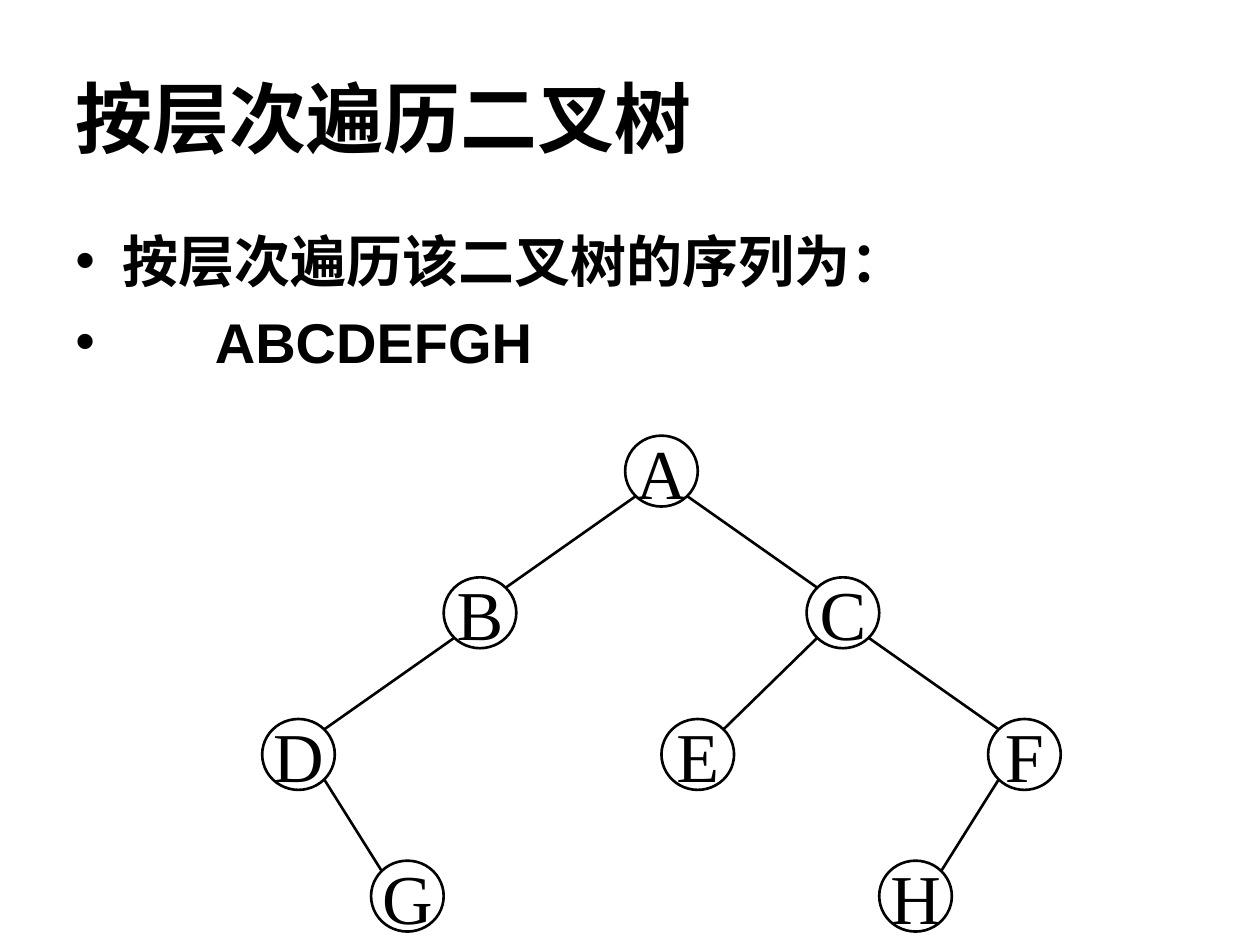
"""Build a slide on level-order traversal of a binary tree."""
from dataclasses import dataclass
from math import sqrt

from lxml.etree import SubElement
from pptx import Presentation
from pptx.dml.color import RGBColor
from pptx.enum.shapes import MSO_CONNECTOR, MSO_SHAPE
from pptx.enum.text import MSO_ANCHOR, PP_ALIGN
from pptx.oxml.ns import qn
from pptx.util import Pt


@dataclass(frozen=True)
class Theme:
    ink: RGBColor = RGBColor(0, 0, 0)
    han: str = "Noto Sans CJK SC"
    sans: str = "Arial"
    serif: str = "Times New Roman"
    title: float = 44
    body: float = 32
    label: float = 40
    line: float = 1.5


@dataclass(frozen=True)
class Node:
    name: str
    step: int
    level: int
    parent: str = ""

    @property
    def x(self) -> float:
        return MID + self.step * STEP

    @property
    def y(self) -> float:
        return TOP + self.level * DROP


@dataclass(frozen=True)
class Item:
    text: str
    indent: float


THEME = Theme()
MID, TOP, STEP, DROP = 378, 269.2, 20.74, 80.95
WIDE, HIGH = 41.5, 40.5
ITEMS = [Item("按层次遍历该二叉树的序列为：", 27), Item("ABCDEFGH", 79.7)]
NODES = [
    Node("A", 0, 0),
    Node("B", -5, 1, "A"),
    Node("C", 5, 1, "A"),
    Node("D", -10, 2, "B"),
    Node("E", 1, 2, "C"),
    Node("F", 10, 2, "C"),
    Node("G", -7, 3, "D"),
    Node("H", 7, 3, "F"),
]


def style(para, size: float, face: str, bold: bool = False) -> None:
    for run in para.runs:
        font = run.font
        font.size, font.name, font.bold = Pt(size), face, bold
        font.color.rgb = THEME.ink
        east = THEME.han if bold else face
        SubElement(font._element, qn("a:ea"), typeface=east)


def add_text(slide, left: float, top: float, wide: float, high: float):
    box = slide.shapes.add_textbox(Pt(left), Pt(top), Pt(wide), Pt(high))
    box.text_frame.word_wrap = True
    return box.text_frame


def add_title(slide, text: str) -> None:
    frame = add_text(slide, 36, 21.6, 648, 90)
    frame.vertical_anchor = MSO_ANCHOR.MIDDLE
    frame.text = text
    style(frame.paragraphs[0], THEME.title, THEME.han, True)


def add_list(slide, items: list[Item]) -> None:
    frame = add_text(slide, 36, 126, 648, 102)
    frame.text = "\n".join(item.text for item in items)
    for para, item in zip(frame.paragraphs, items):
        para.space_before = Pt(8)
        props = para._p.get_or_add_pPr()
        props.set("marL", str(Pt(item.indent)))
        props.set("indent", str(-Pt(item.indent)))
        SubElement(props, qn("a:buFont"), typeface=THEME.sans)
        SubElement(props, qn("a:buChar"), char="•")
        style(para, THEME.body, THEME.sans, True)


def add_node(slide, node: Node) -> None:
    oval = slide.shapes.add_shape(
        MSO_SHAPE.OVAL, Pt(node.x - WIDE / 2), Pt(node.y - HIGH / 2), Pt(WIDE), Pt(HIGH)
    )
    oval.shadow.inherit = False
    oval.fill.background()
    oval.line.color.rgb = THEME.ink
    oval.line.width = Pt(THEME.line)
    frame = oval.text_frame
    frame.margin_left = frame.margin_right = frame.margin_top = frame.margin_bottom = 0
    frame.word_wrap = False
    frame.vertical_anchor = MSO_ANCHOR.MIDDLE
    frame.text = node.name
    para = frame.paragraphs[0]
    para.alignment = PP_ALIGN.CENTER
    style(para, THEME.label, THEME.serif)


def add_edge(slide, start: Node, end: Node) -> None:
    side = 1 if end.x > start.x else -1
    dx, dy = side * WIDE / sqrt(8), HIGH / sqrt(8)
    edge = slide.shapes.add_connector(
        MSO_CONNECTOR.STRAIGHT,
        Pt(start.x + dx), Pt(start.y + dy), Pt(end.x - dx), Pt(end.y - dy),
    )
    edge.line.color.rgb = THEME.ink
    edge.line.width = Pt(THEME.line)
    SubElement(edge._element.spPr, qn("a:effectLst"))


def main() -> None:
    deck = Presentation()
    deck.slide_width, deck.slide_height = Pt(720), Pt(540)
    slide = deck.slides.add_slide(deck.slide_layouts[6])
    add_title(slide, "按层次遍历二叉树")
    add_list(slide, ITEMS)
    tree = {node.name: node for node in NODES}
    for node in NODES:
        add_node(slide, node)
        if node.parent:
            add_edge(slide, tree[node.parent], node)
    deck.save("out.pptx")


if __name__ == "__main__":
    main()
